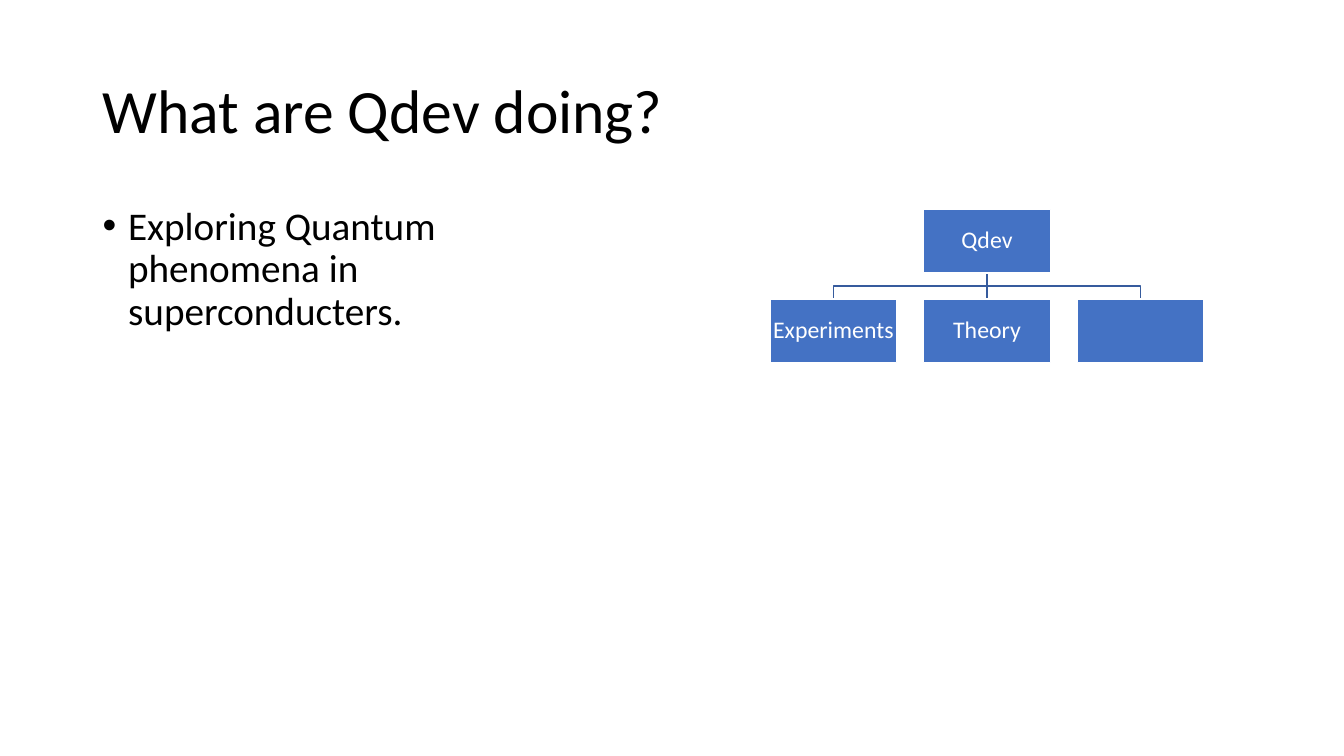
from dataclasses import dataclass
from typing import Any

import pptx
import pptx.dml.color
import pptx.enum.shapes
import pptx.enum.text
import pptx.oxml
import pptx.oxml.ns
import pptx.util
from pptx.util import Cm

MIDDLE = pptx.enum.text.MSO_ANCHOR.MIDDLE
TOP = pptx.enum.text.MSO_ANCHOR.TOP
CENTER = pptx.enum.text.PP_ALIGN.CENTER
BOX_WIDTH, BOX_HEIGHT = 3.19, 1.6
CHART_LEFT, ROOT_TOP, CHILD_TOP = 19.41, 5.28, 7.54
COLUMN_STEP = 3.87
INSET = Cm(0.03)


@dataclass
class Unit:
    label: str
    column: int
    top: float

    @property
    def left(self) -> float:
        return CHART_LEFT + self.column * COLUMN_STEP

    @property
    def center(self) -> float:
        return self.left + BOX_WIDTH / 2


ROOT = Unit("Qdev", 1, ROOT_TOP)
CHILDREN = [
    Unit(label, column, CHILD_TOP)
    for column, label in enumerate(("Experiments", "Theory", ""))
]


def color(value: str) -> pptx.dml.color.RGBColor:
    return pptx.dml.color.RGBColor.from_string(value)


def apply(target: Any, values: dict[str, Any]) -> None:
    for name, value in values.items():
        setattr(target, name, value)


def set_line(shape: Any, value: str) -> None:
    shape.line.color.rgb = color(value)
    shape.line.width = pptx.util.Pt(1)


def write(shape: Any, text: str, size: int, value: str, frame: dict[str, Any]) -> Any:
    apply(shape.text_frame, {"word_wrap": True, **frame})
    para = shape.text_frame.paragraphs[0]
    para.line_spacing = 0.9
    span = para.add_run()
    span.text = text
    apply(span.font, {"name": "Calibri", "size": pptx.util.Pt(size)})
    span.font.color.rgb = color(value)
    return para


def add_text(page: Any, area: tuple[float, ...], text: str, size: int, anchor: Any) -> Any:
    box = page.shapes.add_textbox(*map(Cm, area))
    return write(box, text, size, "000000", {"vertical_anchor": anchor})


def add_bullet(para: Any) -> None:
    settings = para._p.get_or_add_pPr()
    settings.set("marL", str(Cm(0.64)))
    settings.set("indent", str(-Cm(0.64)))
    namespace = pptx.oxml.ns.nsdecls("a")
    for markup in (f'<a:buFont {namespace} typeface="Arial"/>', f'<a:buChar {namespace} char="•"/>'):
        settings.append(pptx.oxml.parse_xml(markup))


def add_unit(page: Any, unit: Unit) -> Any:
    box = page.shapes.add_shape(
        pptx.enum.shapes.MSO_SHAPE.RECTANGLE,
        *map(Cm, (unit.left, unit.top, BOX_WIDTH, BOX_HEIGHT)),
    )
    box.shadow.inherit = False
    box.fill.solid()
    box.fill.fore_color.rgb = color("4472C4")
    set_line(box, "FFFFFF")
    if unit.label:
        margins = {f"margin_{side}": INSET for side in ("left", "top", "right", "bottom")}
        para = write(box, unit.label, 17, "FFFFFF", {"vertical_anchor": MIDDLE, **margins})
        para.alignment = CENTER
    return box


def add_branch(page: Any, child: Unit) -> None:
    start = ROOT_TOP + BOX_HEIGHT
    bend = (start + CHILD_TOP) / 2
    corners = [(ROOT.center, bend), (child.center, bend), (child.center, CHILD_TOP)]
    builder = page.shapes.build_freeform(Cm(ROOT.center), Cm(start))
    builder.add_line_segments([(Cm(x), Cm(y)) for x, y in corners], close=False)
    branch = builder.convert_to_shape()
    branch.shadow.inherit = False
    branch.fill.background()
    set_line(branch, "365B9D")


def add_trunk(page: Any, parent: Any, child: Any) -> None:
    trunk = page.shapes.add_connector(pptx.enum.shapes.MSO_CONNECTOR.STRAIGHT, 0, 0, 0, 0)
    trunk.begin_connect(parent, 2)
    trunk.end_connect(child, 0)
    set_line(trunk, "365B9D")
    effects = f'<a:effectLst {pptx.oxml.ns.nsdecls("a")}/>'
    trunk._element.spPr.append(pptx.oxml.parse_xml(effects))
    parent._element.addprevious(trunk._element)


def main() -> None:
    deck = pptx.Presentation()
    apply(deck, {"slide_width": Cm(33.87), "slide_height": Cm(19.05)})
    page = deck.slides.add_slide(deck.slide_layouts[6])
    add_text(page, (2.34, 1.02, 29.21, 3.68), "What are Qdev doing?", 44, MIDDLE)
    body = "Exploring Quantum phenomena in superconducters."
    add_bullet(add_text(page, (2.34, 5.08, 11.84, 12.09), body, 28, TOP))
    for child in CHILDREN:
        if child.column != ROOT.column:
            add_branch(page, child)
    root_box = add_unit(page, ROOT)
    child_boxes = [add_unit(page, child) for child in CHILDREN]
    add_trunk(page, root_box, child_boxes[ROOT.column])
    deck.save("out.pptx")


if __name__ == "__main__":
    main()
